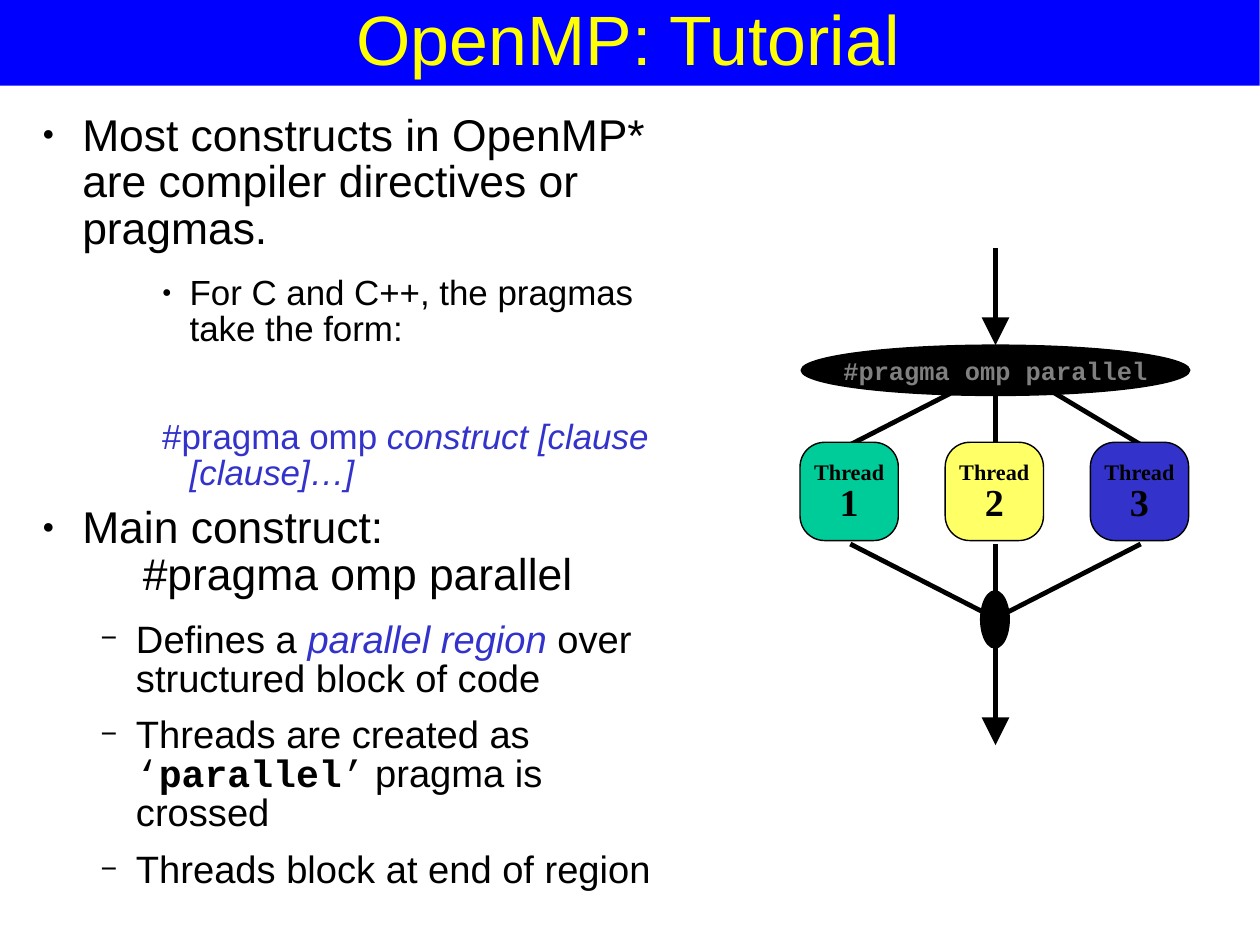
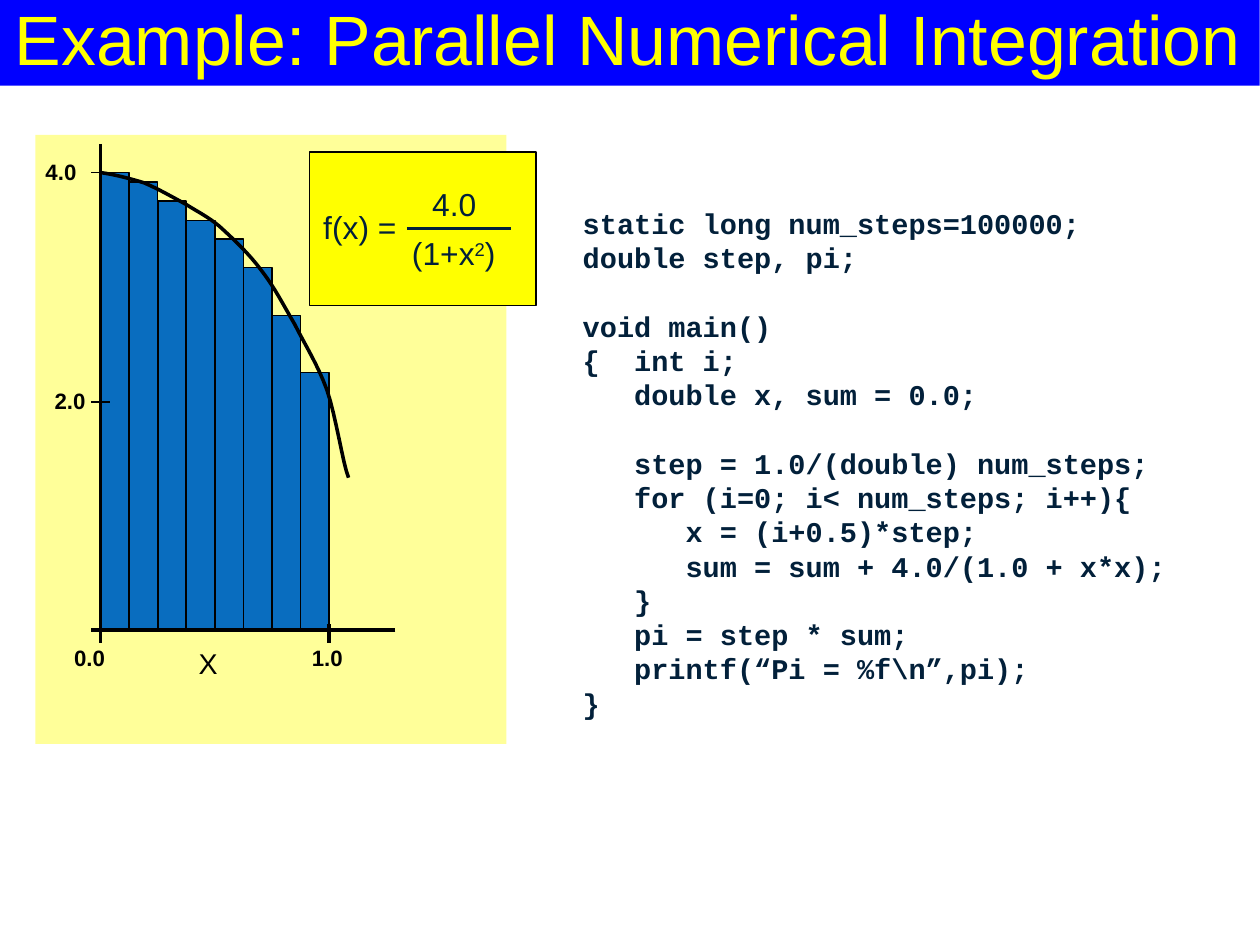
from lxml.etree import SubElement
from pptx import Presentation
from pptx.dml.color import RGBColor
from pptx.enum.shapes import MSO_CONNECTOR, MSO_SHAPE
from pptx.enum.text import MSO_ANCHOR, MSO_AUTO_SIZE, PP_ALIGN
from pptx.oxml.ns import qn
from pptx.util import Inches, Pt

HEX = {
    "band": "0000FF", "title": "FFFF00", "black": "000000", "gray": "808080",
    "key": "3333CC", "green": "00CC99", "lemon": "FFFF66", "panel": "FFFF99",
    "bar": "096DBF", "note": "FFFF00", "navy": "02203A",
}
SANS, MONO, SERIF = "Arial", "Courier New", "Times New Roman"

# Outline styles: left margin, first-line indent, size, line spacing, space after, bullet
LEVELS = {
    "top": (0.47, -0.35, 28, 0.87, 14.3, ("●", 45)),
    "lead": (0.47, -0.35, 28, 0.87, 0, ("●", 45)),
    "code": (1.0, 0, 28, 0.87, 14.3, None),
    "form": (1.41, -0.24, 22, 0.87, 44.7, ("●", 45)),
    "sample": (1.41, -0.24, 22, 0.87, 8.5, None),
    "dash": (0.94, -0.31, 24, 0.85, 11.4, ("−", 75)),
}
KEY = {"color": "key"}
OUTLINE = [
    ("top", [("Most constructs in OpenMP* are compiler directives or pragmas.", {})]),
    ("form", [("For C and C++, the pragmas take the form:", {})]),
    ("sample", [("#pragma omp ", KEY),
                ("construct [clause [clause]…]", {**KEY, "italic": True})]),
    ("lead", [("Main construct:", {})]),
    ("code", [("#pragma omp parallel", {})]),
    ("dash", [("Defines a ", {}), ("parallel region ", {**KEY, "italic": True}),
              ("over structured block of code", {})]),
    ("dash", [("Threads are created as ", {}), ("‘", {"font": MONO}),
              ("parallel", {"font": MONO, "bold": True}), ("’", {"font": MONO}),
              (" pragma is crossed", {})]),
    ("dash", [("Threads block at end of region", {})]),
]
THREADS = ["green", "lemon", "key"]

BARS = [4, 3.92, 3.75, 3.58, 3.42, 3.17, 2.75, 2.25]
CURVE = [  # cubic Bezier: start, then two controls and an end per piece
    (0.88, 1.51), (1.01, 1.53), (1.13, 1.56), (1.26, 1.6),
    (1.38, 1.65), (1.52, 1.73), (1.63, 1.79), (1.74, 1.86), (1.81, 1.89), (1.92, 1.98),
    (2.03, 2.08), (2.18, 2.22), (2.29, 2.37), (2.4, 2.51), (2.48, 2.67), (2.58, 2.84),
    (2.67, 3.02), (2.78, 3.19), (2.86, 3.41), (2.94, 3.64), (3, 4.06), (3.05, 4.18),
]
AXES = [  # from, to, width
    ((0.88, 1.26), (0.88, 5.51), 2.25), ((3.46, 5.51), (0.8, 5.51), 2.25),
    ((0.88, 5.46), (0.88, 5.63), 2.25), ((2.88, 5.46), (2.88, 5.63), 2.25),
    ((0.8, 1.51), (0.96, 1.51), 1), ((0.8, 3.52), (0.96, 3.52), 1),
]
TICKS = [("4.0", 0.3, 1.34), ("2.0", 0.38, 3.34), ("1.0", 2.63, 5.59), ("0.0", 0.55, 5.59)]
FORMULA = [
    ((3.35, 1.57, 1.25, 0.44), PP_ALIGN.CENTER, [("4.0", {})]),
    ((3.26, 2, 1.42, 0.44), PP_ALIGN.CENTER,
     [("(1+x", {}), ("2", {"raised": True}), (")", {})]),
    ((2.73, 1.77, 0.93, 0.44), PP_ALIGN.LEFT, [("f(x) =", {})]),
]
CODE = """static long num_steps=100000;
double step, pi;

void main()
{  int i;
   double x, sum = 0.0;

   step = 1.0/(double) num_steps;
   for (i=0; i< num_steps; i++){
      x = (i+0.5)*step;
      sum = sum + 4.0/(1.0 + x*x);
   }
   pi = step * sum;
   printf(“Pi = %f\\n”,pi);
}"""


def rgb(name):
    return RGBColor.from_string(HEX[name])


def box(at):
    return [Inches(v) for v in at]


def write(para, runs, size, font=SANS, color="black", bold=False):
    """Add runs, each a text and the styles in which it differs."""
    for text, diff in runs:
        run = para.add_run()
        run.text = text
        face = run.font
        face.size, face.name = Pt(size), diff.get("font", font)
        face.bold, face.italic = diff.get("bold", bold), diff.get("italic", False)
        face.color.rgb = rgb(diff.get("color", color))
        if diff.get("raised"):
            run._r.get_or_add_rPr().set("baseline", "30000")


def set_frame(frame, pad=(0, 0), wrap=True, anchor=MSO_ANCHOR.TOP):
    frame.margin_left = frame.margin_right = Inches(pad[0])
    frame.margin_top = frame.margin_bottom = Inches(pad[1])
    frame.word_wrap, frame.vertical_anchor = wrap, anchor
    frame.auto_size = MSO_AUTO_SIZE.NONE


def add_text(slide, at, pad=(0.1, 0.05)):
    frame = slide.shapes.add_textbox(*box(at)).text_frame
    set_frame(frame, pad)
    return frame


def next_para(frame, index):
    return frame.add_paragraph() if index else frame.paragraphs[0]


def add_label(slide, at, runs, size, align=PP_ALIGN.LEFT, **style):
    para = add_text(slide, at).paragraphs[0]
    para.alignment = align
    write(para, runs, size, **style)


def add_form(slide, kind, at, fill, line=None):
    """Add a preset shape; line is its black outline width."""
    form = slide.shapes.add_shape(kind, *box(at))
    form.shadow.inherit = False
    form.fill.solid()
    form.fill.fore_color.rgb = rgb(fill)
    if line:
        form.line.color.rgb, form.line.width = rgb("black"), Pt(line)
    else:
        form.line.fill.background()
    set_frame(form.text_frame, wrap=False, anchor=MSO_ANCHOR.MIDDLE)
    return form


def add_line(slide, start, end, width=3, color="black", arrow=False):
    line = slide.shapes.add_connector(MSO_CONNECTOR.STRAIGHT, *box(start + end))
    line.line.color.rgb, line.line.width = rgb(color), Pt(width)
    if arrow:
        SubElement(line.line._get_or_add_ln(), qn("a:tailEnd"), type="triangle", w="lg", len="lg")
    SubElement(line._element.spPr, qn("a:effectLst"))


def add_bullet(para, mark):
    props = para._p.get_or_add_pPr()
    color = SubElement(props, qn("a:buClr"))
    SubElement(color, qn("a:srgbClr"), val=HEX["black"])
    SubElement(props, qn("a:buSzPct"), val=str(mark[1] * 1000))
    SubElement(props, qn("a:buFont"), typeface=SANS)
    SubElement(props, qn("a:buChar"), char=mark[0])


def add_slide(deck, title):
    slide = deck.slides.add_slide(deck.slide_layouts[5])
    head = slide.shapes.title
    head.left, head.top, head.width, head.height = box((0, 0, 11, 0.75))
    set_frame(head.text_frame, anchor=MSO_ANCHOR.MIDDLE)
    para = head.text_frame.paragraphs[0]
    para.alignment, para.line_spacing = PP_ALIGN.CENTER, 0.9
    write(para, [(title, {})], 44, color="title")
    return slide


def add_band(slide):
    """Place the title band on the layout, behind every title."""
    band = add_form(slide, MSO_SHAPE.RECTANGLE, (0, 0, 11.02, 0.75), "band")
    band._element.nvSpPr.cNvPr.set("id", "20")
    slide.slide_layout.shapes.element.insert(2, band._element)


def add_outline(slide):
    frame = add_text(slide, (0.25, 1, 5.67, 6.8), pad=(0, 0))
    for i, (level, runs) in enumerate(OUTLINE):
        left, indent, size, pitch, after, mark = LEVELS[level]
        para = next_para(frame, i)
        props = para._p.get_or_add_pPr()
        props.set("marL", str(Inches(left)))
        props.set("indent", str(Inches(indent)))
        if mark:
            add_bullet(para, mark)
        para.line_spacing, para.space_after = pitch, Pt(after)
        write(para, runs, size)


def add_threads(slide):
    mid, side, step, top = 8.71, 0.86, 1.27, 3.87
    add_line(slide, (mid, 2.17), (mid, 3.02), 3.5, arrow=True)
    for i, fill in enumerate(THREADS):
        x = mid + (i - 1) * step
        add_line(slide, (mid, 3.13 if i == 2 else 3.24), (x, 3.89))
        add_line(slide, (x, 4.76), (mid, 5.41))
        cell = add_form(slide, MSO_SHAPE.ROUNDED_RECTANGLE,
                        (x - side / 2 - 0.01, top, side, side), fill, 0.88)
        cell.adjustments[0] = 0.25
        for j, (text, size) in enumerate([("Thread", 14), (str(i + 1), 24)]):
            para = next_para(cell.text_frame, j)
            para.alignment = PP_ALIGN.CENTER
            para.line_spacing = 0.85 if j else 1.0
            write(para, [(text, {})], size, SERIF, bold=True)
    fork = add_form(slide, MSO_SHAPE.OVAL, (mid - 1.7, 3.02, 3.4, 0.44), "black", 0.88)
    para = fork.text_frame.paragraphs[0]
    para.alignment = PP_ALIGN.CENTER
    write(para, [("#pragma omp parallel", {})], 16, MONO, "gray", True)
    add_line(slide, (mid, 5.63), (mid, 6.52), 3.5, arrow=True)
    add_form(slide, MSO_SHAPE.OVAL, (mid - 0.13, 5.17, 0.25, 0.5), "black", 0.88)


def trace(knots, steps=8):
    """Return points along a chain of cubic Bezier pieces."""
    points = [knots[0]]
    for k in range(0, len(knots) - 1, 3):
        for t in (n / steps for n in range(1, steps + 1)):
            parts = ((1 - t) ** 3, 3 * t * (1 - t) ** 2, 3 * t * t * (1 - t), t ** 3)
            points.append(tuple(sum(w * p[axis] for w, p in zip(parts, knots[k:k + 4]))
                                for axis in (0, 1)))
    return points


def add_plot(slide):
    add_form(slide, MSO_SHAPE.RECTANGLE, (0.31, 1.18, 4.12, 5.33), "panel")
    left, base, wide = 0.88, 5.51, 0.25
    for i, tall in enumerate(BARS):
        add_form(slide, MSO_SHAPE.RECTANGLE,
                 (left + i * wide, base - tall, wide, tall), "bar", 1)
    for start, end, width in AXES:
        add_line(slide, start, end, width)
    points = [box(p) for p in trace(CURVE)]
    path = slide.shapes.build_freeform(*points[0])
    path.add_line_segments(points[1:], close=False)
    curve = path.convert_to_shape()
    curve.shadow.inherit = False
    curve.fill.background()
    curve.line.color.rgb, curve.line.width = rgb("black"), Pt(2.25)
    for text, x, y in TICKS:
        add_label(slide, (x, y, 0.5, 0.34), [(text, {})], 14, bold=True)
    add_label(slide, (1.64, 5.6, 0.39, 0.4), [("X", {})], 18)


def add_formula(slide):
    add_form(slide, MSO_SHAPE.RECTANGLE, (2.71, 1.33, 1.98, 1.34), "note", 0.75)
    for at, align, runs in FORMULA:
        add_label(slide, at, runs, 20, align, color="navy")
    add_line(slide, (3.56, 2), (4.47, 2), 1.5, "navy")


def add_code(slide):
    frame = add_text(slide, (5, 1.75, 5.31, 4.6))
    blocks = [part.split("\n") for part in CODE.split("\n\n")]
    for b, block in enumerate(blocks):
        for i, text in enumerate(block):
            para = next_para(frame, b + i)
            if b and not i:
                para.space_before = Pt(21.6)
            write(para, [(text, {})], 18, MONO, "navy", True)


def main():
    deck = Presentation()
    deck.slide_width = Inches(11.024)
    deck.slide_height = Inches(8.268)
    intro = add_slide(deck, "OpenMP: Tutorial")
    add_band(intro)
    add_outline(intro)
    add_threads(intro)
    example = add_slide(deck, "Example: Parallel Numerical Integration")
    add_plot(example)
    add_formula(example)
    add_code(example)
    deck.save("out.pptx")


if __name__ == "__main__":
    main()
